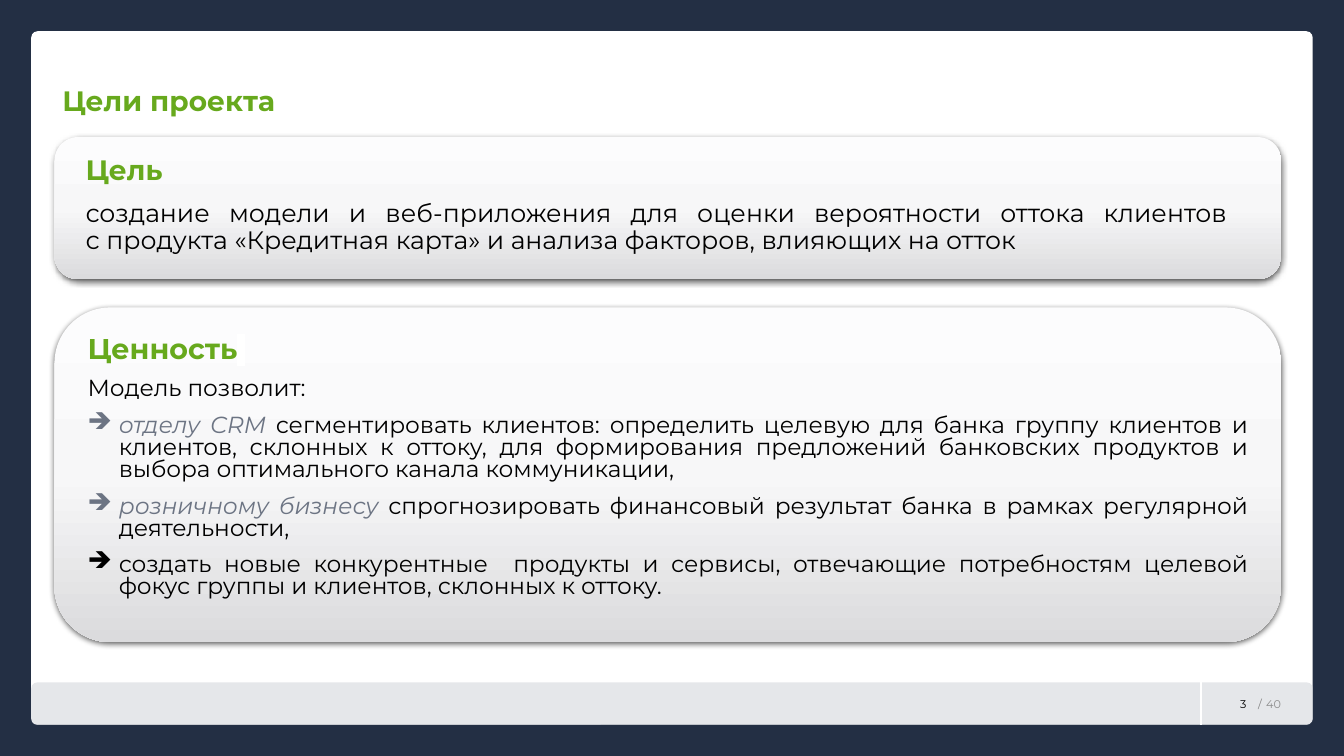
from lxml import etree
from pptx import Presentation
from pptx.dml.color import RGBColor
from pptx.enum.shapes import MSO_CONNECTOR, MSO_SHAPE
from pptx.enum.text import MSO_ANCHOR, PP_ALIGN
from pptx.oxml import parse_xml
from pptx.oxml.ns import qn
from pptx.util import Inches, Pt

ROUND, LINE = MSO_SHAPE.ROUNDED_RECTANGLE, MSO_CONNECTOR.STRAIGHT
TOP, MID, LOW = MSO_ANCHOR.TOP, MSO_ANCHOR.MIDDLE, MSO_ANCHOR.BOTTOM
LEFT, RIGHT, JUST = PP_ALIGN.LEFT, PP_ALIGN.RIGHT, PP_ALIGN.JUSTIFY
NS = 'xmlns:a="http://schemas.openxmlformats.org/drawingml/2006/main"'
FONT = "Montserrat"
NAVY, WHITE, BLACK, GREEN, SLATE = "232F44", "FFFFFF", "000000", "67A91D", "6C7483"

# Content: paragraphs are lists of (text, style) runs
HEAD = {"size": 20, "tint": GREEN, "bold": True}
BODY = {"size": 18}
HEAD2 = {"size": 20.4, "tint": GREEN, "bold": True}
GAP = {"size": 18.5, "tint": GREEN, "bold": True, "mark": WHITE}
ITEM = {"size": 16.6}
WHO = {"size": 16.6, "tint": SLATE, "italic": True}

TITLE = [[("Цели проекта", HEAD)]]
GOAL = [
    [("Цель", HEAD), (" ", BODY)],
    [("создание модели и веб-приложения для оценки вероятности оттока клиентов \n"
      "с продукта «Кредитная карта» и анализа факторов, влияющих на отток ", BODY)],
]
VALUE = [
    [("Ценность", HEAD2), (" ", GAP)],
    [("Модель позволит:", ITEM)],
    [("отделу CRM ", WHO),
     ("сегментировать клиентов: определить целевую для банка группу клиентов и "
      "клиентов, склонных к оттоку, для формирования предложений банковских "
      "продуктов и выбора оптимального канала коммуникации,", ITEM)],
    [("розничному бизнесу ", WHO),
     ("спрогнозировать финансовый результат банка в рамках регулярной "
      "деятельности,", ITEM)],
    [("создать новые конкурентные  продукты и сервисы, отвечающие потребностям "
      "целевой фокус группы и клиентов, склонных к оттоку.", ITEM)],
]
PAGES = [
    (12.04, 0.42, RIGHT, "3", BLACK),
    (12.38, 0.3, LEFT, "/", "808080"),
    (12.46, 0.5, LEFT, "40", "8C8C8C"),
]

# Layout in inches
WIDE, HIGH, EDGE = 13.33, 7.5, 0.31
SHEET = WIDE - 2 * EDGE
BASE = HIGH - EDGE
FOOT = 0.42
CARDS = [(3.05, 3.32), (1.36, 1.41)]


def color(code):
    return RGBColor.from_string(code)


def panel(left, top, width, height, fill=None, adj=None):
    shape = slide.shapes.add_shape(ROUND, *map(Inches, (left, top, width, height)))
    shape.shadow.inherit = False
    shape.line.fill.background()
    if adj is not None:
        shape.adjustments[0] = adj
    if fill:
        shape.fill.solid()
        shape.fill.fore_color.rgb = color(fill)
    return shape


def card(top, height):
    shape = panel(0.54, top, 12.17, height)
    spot = shape._element.spPr
    stops = "".join(
        f'<a:gs pos="{pos}"><a:srgbClr val="{code}"/></a:gs>'
        for pos, code in [(0, "FCFCFD"), (50000, "F7F7F8"), (100000, "DBDBDD")])
    spot.find(qn("a:prstGeom")).addnext(parse_xml(
        f'<a:gradFill {NS}><a:gsLst>{stops}</a:gsLst><a:lin ang="5400000"/></a:gradFill>'))
    spot.find(qn("a:effectLst")).append(parse_xml(
        f'<a:outerShdw {NS} blurRad="{Pt(4.5)}" dist="{Pt(1.5)}" dir="5400000" '
        f'rotWithShape="0"><a:srgbClr val="{BLACK}"><a:alpha val="63000"/>'
        '</a:srgbClr></a:outerShdw>'))


def style(run, size, tint=BLACK, bold=False, italic=False, mark=None):
    font = run.font
    font.size, font.bold, font.italic = Pt(size), bold, italic
    font.color.rgb = color(tint)
    font.name = FONT
    if mark:
        font._element.find(qn("a:latin")).addprevious(parse_xml(
            f'<a:highlight {NS}><a:srgbClr val="{mark}"/></a:highlight>'))


def bullet(para):
    props = para._p.get_or_add_pPr()
    props.set("marL", str(Inches(0.31)))
    props.set("indent", str(-Inches(0.31)))
    etree.SubElement(props, qn("a:buChar")).set("char", "➔")


def write(left, top, width, height, paras, anchor=TOP, align=LEFT, lead=1.0, first=99):
    box = slide.shapes.add_textbox(*map(Inches, (left, top, width, height)))
    frame = box.text_frame
    frame.word_wrap = True
    frame.vertical_anchor = anchor
    for i, runs in enumerate(paras):
        para = frame.add_paragraph() if i else frame.paragraphs[0]
        if i >= first:
            bullet(para)
        para.alignment = align
        para.line_spacing = lead
        para.space_before = Pt(10 if i else 0)
        for text, look in runs:
            for j, part in enumerate(text.split("\n")):
                if j:
                    para.add_line_break()
                run = para.add_run()
                run.text = part
                style(run, **look)


deck = Presentation()
deck.slide_width, deck.slide_height = Inches(WIDE), Inches(HIGH)
slide = deck.slides.add_slide(deck.slide_layouts[6])
slide.background.fill.solid()
slide.background.fill.fore_color.rgb = color(NAVY)

# White sheet with its footer strip
panel(EDGE, EDGE, SHEET, HIGH - 2 * EDGE, WHITE, 0.009)
strip = panel(EDGE, BASE - FOOT, SHEET, FOOT, "D5D8DD", 0.139)
tone = strip._element.spPr.find(qn("a:solidFill"))[0]
etree.SubElement(tone, qn("a:alpha")).set("val", "60000")
rule = slide.shapes.add_connector(
    LINE, *map(Inches, (11.91, BASE - FOOT, 11.91, BASE)))
rule.line.color.rgb = color(WHITE)
rule.line.width = Pt(1.5)
etree.SubElement(rule._element.spPr, qn("a:effectLst"))

# Cards and their text
for top, height in CARDS:
    card(top, height)
write(0.52, 0.4, 11.5, 0.82, TITLE, LOW, lead=0.9)
write(0.75, 1.5, 11.71, 1.1, GOAL, align=JUST, lead=0.9)
write(0.77, 3.3, 11.7, 2.74, VALUE, align=JUST, lead=0.8, first=2)

# Page count
for left, width, side, text, tint in PAGES:
    write(left, 6.84, width, 0.28, [[(text, {"size": 8, "tint": tint})]], MID, side)

deck.save("out.pptx")
